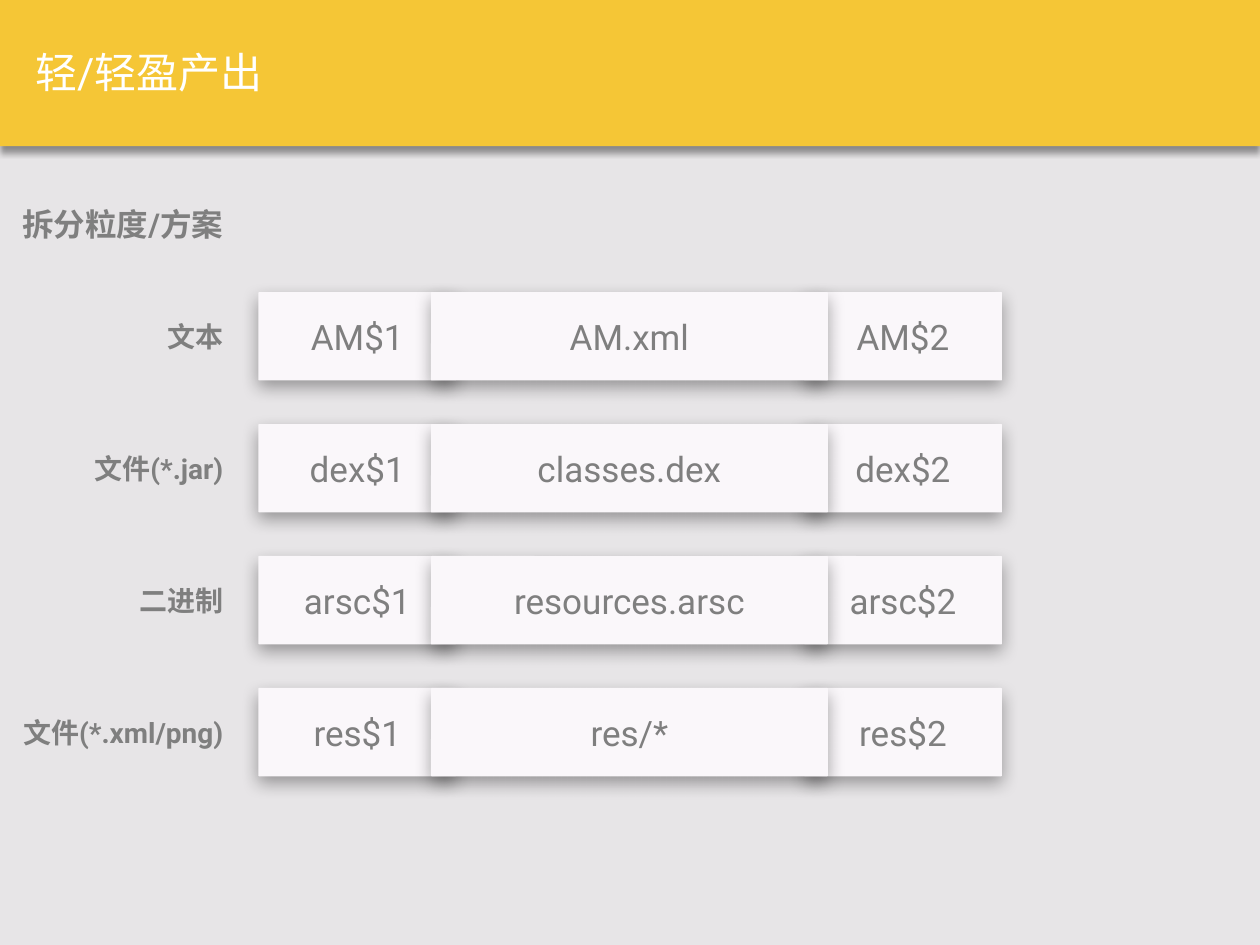
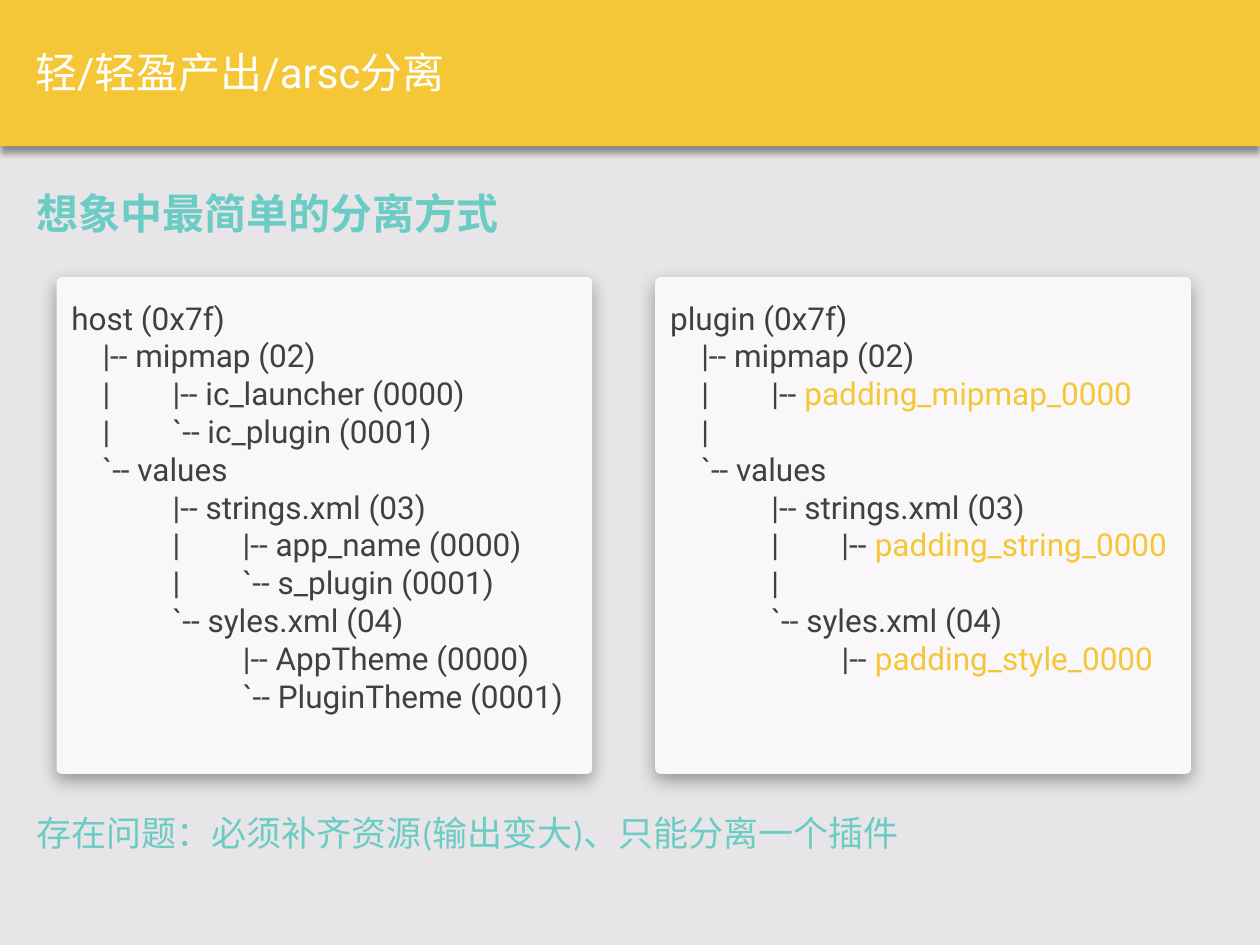
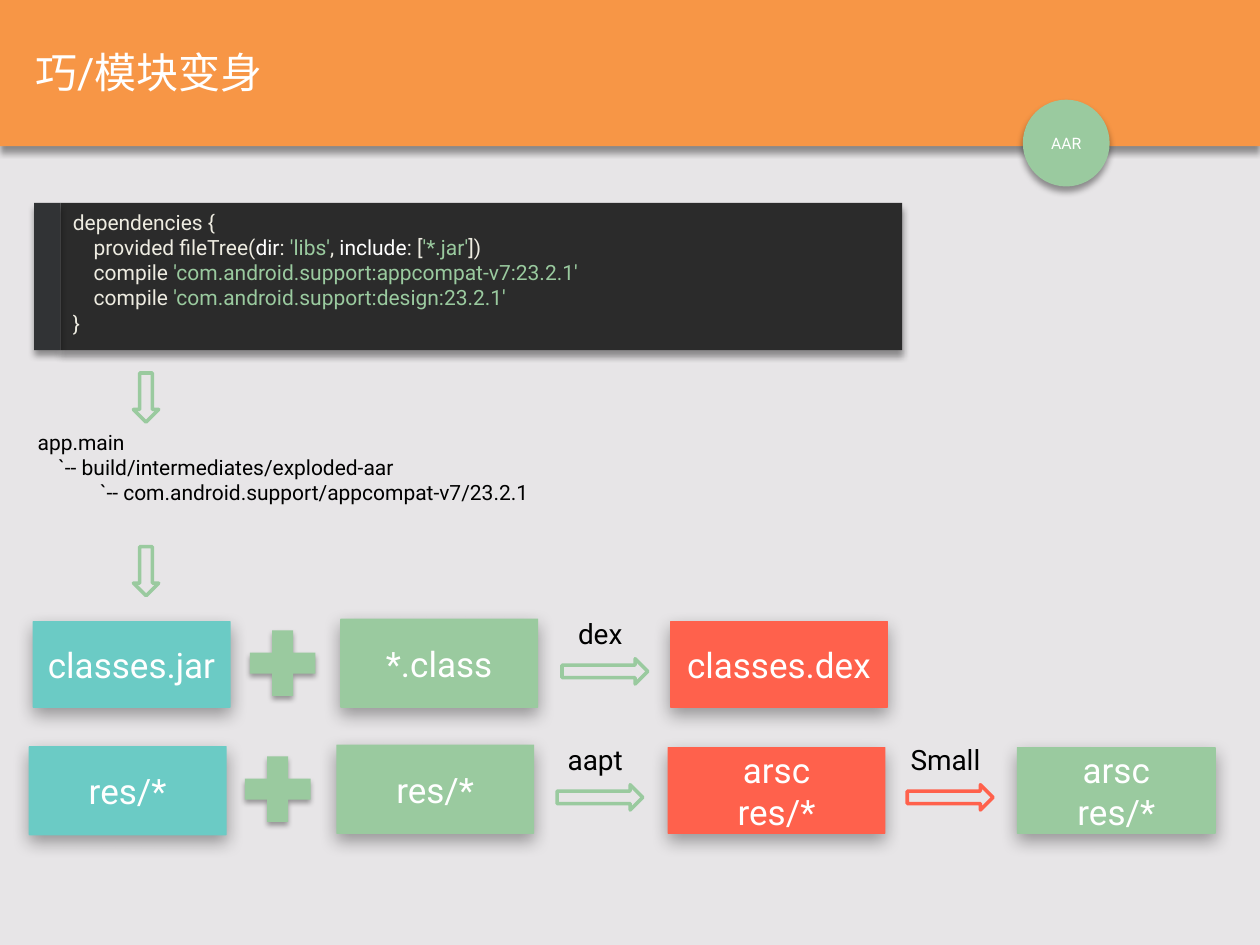
from dataclasses import dataclass

from lxml.etree import SubElement
from pptx import Presentation
from pptx.dml.color import RGBColor
from pptx.enum.shapes import MSO_SHAPE as Kind
from pptx.enum.text import MSO_ANCHOR as Anchor, PP_ALIGN as Align
from pptx.oxml.ns import qn
from pptx.util import Cm, Pt


@dataclass(frozen=True)
class Theme:
    back: str = "E7E5E7"
    card: str = "FAF7FA"
    white: str = "FFFFFF"
    black: str = "000000"
    gold: str = "F5C636"
    orange: str = "F79646"
    teal: str = "6BCBC5"
    green: str = "9ACA9F"
    red: str = "FF614C"
    gray: str = "7F7F7F"
    dark: str = "404040"
    editor: str = "2B2B2B"
    gutter: str = "313335"
    cream: str = "EEECE1"
    face: str = "Roboto"
    plain: str = "Calibri"
    title: int = 24
    box: int = 20
    body: int = 18
    label: int = 16
    code: int = 12
    badge: int = 9
    # Shadows: opacity in percent, blur and distance in points
    soft: tuple = (35, 10, 4)
    hard: tuple = (40, 4, 3)
    thin: tuple = (35, 3.1, 1.8)


T = Theme()


def rgb(ink):
    return RGBColor.from_string(ink)


def write(shape, lines, size, ink, align=Align.CENTER, anchor=Anchor.MIDDLE,
          face=T.face, bold=False, pad=(0, 0)):
    """Fill a shape with lines; a line is a string or a list of (text, ink) runs."""
    frame = shape.text_frame
    frame.word_wrap = True
    frame.vertical_anchor = anchor
    frame.margin_left = frame.margin_right = Cm(pad[0])
    frame.margin_top = frame.margin_bottom = Cm(pad[1])
    for i, line in enumerate(lines):
        para = frame.add_paragraph() if i else frame.paragraphs[0]
        para.alignment = align
        font = para.font
        font.name, font.size, font.bold = face, Pt(size), bold
        if isinstance(line, str):
            para.text = line
            font.color.rgb = rgb(ink)
            continue
        for text, tint in line:
            run = para.add_run()
            run.text = text
            run.font.color.rgb = rgb(tint)


def note(slide, area, lines, size, ink, **style):
    write(slide.shapes.add_textbox(*map(Cm, area)), lines, size, ink, **style)


def draw(slide, kind, area, fill=None, line=None, shadow=None):
    shape = slide.shapes.add_shape(kind, *map(Cm, area))
    shape.shadow.inherit = False
    if fill:
        shape.fill.solid()
        shape.fill.fore_color.rgb = rgb(fill)
    else:
        shape.fill.background()
    if line:
        shape.line.color.rgb = rgb(line)
        shape.line.width = Pt(2)
    else:
        shape.line.fill.background()
    if shadow:
        cast(shape, *shadow)
    return shape


def cast(shape, alpha, blur, dist):
    """Add a shadow that falls straight down."""
    effects = shape._element.spPr.find(qn("a:effectLst"))
    outer = SubElement(effects, qn("a:outerShdw"), blurRad=str(Pt(blur)),
                       dist=str(Pt(dist)), dir="5400000", algn="t", rotWithShape="0")
    color = SubElement(outer, qn("a:srgbClr"), val=T.black)
    SubElement(color, qn("a:alpha"), val=str(alpha * 1000))


def card(slide, area, fill=T.card):
    shape = draw(slide, Kind.ROUNDED_RECTANGLE, area, fill, shadow=T.soft)
    shape.adjustments[0] = 0.01
    return shape


def tile(slide, area, lines, fill=T.card, ink=T.white):
    write(card(slide, area, fill), lines, T.box, ink)


def step(slide, left, top, name, ink):
    """Draw a right arrow with its tool name above."""
    draw(slide, Kind.RIGHT_ARROW, (left, top, 1.73, 0.51), line=ink)
    note(slide, (left - 0.13, top - 0.98, 1.8, 0.97), [name], T.label, T.black,
         anchor=Anchor.TOP, pad=(0, 0.13))


def page(deck, text, fill):
    """Add a slide with a title on a coloured band."""
    slide = deck.slides.add_slide(deck.slide_layouts[5])
    band = draw(slide, Kind.RECTANGLE, (0, 0, 25.4, 2.95), fill, shadow=T.hard)
    title = slide.shapes.title
    band._element.addnext(title._element)
    title.left, title.top, title.width, title.height = map(Cm, (0.46, -0.05, 22, 3))
    write(title, [text], T.title, T.white, align=Align.LEFT, pad=(0.25, 0.13))
    return slide


def split(deck):
    slide = page(deck, "轻/轻盈产出", T.gold)
    rows = [
        ("文本", "AM$1", "AM$2", "AM.xml"),
        ("文件(*.jar)", "dex$1", "dex$2", "classes.dex"),
        ("二进制", "arsc$1", "arsc$2", "resources.arsc"),
        ("文件(*.xml/png)", "res$1", "res$2", "res/*"),
    ]
    spans = [(5.21, 3.99), (16.21, 3.99), (8.69, 8)]
    side = dict(align=Align.RIGHT, bold=True, pad=(0.25, 0.13))
    note(slide, (0.1, 3.63, 4.65, 1.78), ["拆分粒度/方案"], T.body, T.gray, **side)
    for i, (name, *parts) in enumerate(rows):
        top = 5.89 + 2.66 * i
        note(slide, (0.1, top, 4.65, 1.78), [name], T.label, T.gray, **side)
        for (left, width), part in zip(spans, parts):
            tile(slide, (left, top, width, 1.78), [part], ink=T.gray)


def trees(deck):
    slide = page(deck, "轻/轻盈产出/arsc分离", T.gold)
    host = [
        "host (0x7f)",
        "    |-- mipmap (02)",
        "    |        |-- ic_launcher (0000)",
        "    |        `-- ic_plugin (0001)",
        "    `-- values",
        "             |-- strings.xml (03)",
        "             |        |-- app_name (0000)",
        "             |        `-- s_plugin (0001)",
        "             `-- syles.xml (04)",
        "                      |-- AppTheme (0000)",
        "                      `-- PluginTheme (0001)",
    ]
    plugin = [
        "plugin (0x7f)",
        "    |-- mipmap (02)",
        [("    |        |-- ", T.dark), ("padding_mipmap_0000", T.gold)],
        "    |",
        "    `-- values",
        "             |-- strings.xml (03)",
        [("             |        |-- ", T.dark), ("padding_string_0000", T.gold)],
        "             |",
        "             `-- syles.xml (04)",
        [("                      |-- ", T.dark), ("padding_style_0000", T.gold)],
    ]
    left = dict(align=Align.LEFT, face=T.plain, pad=(0.25, 0.13))
    note(slide, (0.48, 3.02, 20, 2.54), ["想象中最简单的分离方式"],
         T.title, T.teal, bold=True, **left)
    for x, tree in ((1.14, host), (13.21, plugin)):
        write(card(slide, (x, 5.59, 10.8, 10.01)), tree, T.body, T.dark,
              align=Align.LEFT, anchor=Anchor.TOP, pad=(0.27, 0.4))
    note(slide, (0.48, 15.52, 22, 2.54),
         ["存在问题：必须补齐资源(输出变大)、只能分离一个插件"], T.box, T.teal, **left)


def build(deck):
    slide = page(deck, "巧/模块变身", T.orange)
    code = [
        "dependencies {",
        [("    provided fileTree(", T.cream), ("dir", T.white), (": ", T.cream),
         ("'libs'", T.green), (", ", T.cream), ("include", T.white),
         (": [", T.cream), ("'*.jar'", T.green), ("])", T.cream)],
        [("    compile ", T.cream),
         ("'com.android.support:appcompat-v7:23.2.1'", T.green)],
        [("    compile ", T.cream),
         ("'com.android.support:design:23.2.1'", T.green)],
        "}",
    ]
    folders = [
        "app.main",
        "    `-- build/intermediates/exploded-aar",
        "            `-- com.android.support/appcompat-v7/23.2.1",
    ]
    listing = dict(align=Align.LEFT, anchor=Anchor.TOP, pad=(0.25, 0.13))
    editor = draw(slide, Kind.RECTANGLE, (1.22, 4.09, 16.97, 2.97), T.editor,
                  shadow=T.hard)
    write(editor, code, T.code, T.cream, **listing)
    draw(slide, Kind.RECTANGLE, (0.69, 4.09, 0.53, 2.97), T.gutter, shadow=T.hard)
    note(slide, (0.51, 8.53, 12, 2.01), folders, T.code, T.black, **listing)
    for top in (7.52, 11.02):
        draw(slide, Kind.DOWN_ARROW, (2.69, top, 0.51, 0.99), line=T.green)

    tiles = [
        ((0.66, 12.52, 3.99, 1.75), ["classes.jar"], T.teal),
        ((6.86, 12.47, 3.99, 1.8), ["*.class"], T.green),
        ((13.51, 12.52, 4.39, 1.75), ["classes.dex"], T.red),
        ((0.58, 15.04, 3.99, 1.8), ["res/*"], T.teal),
        ((6.78, 15.01, 3.99, 1.8), ["res/*"], T.green),
        ((13.46, 15.06, 4.39, 1.75), ["arsc", "res/*"], T.red),
        ((20.5, 15.06, 4.01, 1.75), ["arsc", "res/*"], T.green),
    ]
    for area, lines, fill in tiles:
        tile(slide, area, lines, fill)
    for left, top in ((4.8, 12.47), (4.7, 15.01)):
        draw(slide, Kind.MATH_PLUS, (left, top, 1.8, 1.8), T.green, shadow=T.thin)
    step(slide, 11.33, 13.28, "dex", T.green)
    step(slide, 11.23, 15.82, "aapt", T.green)
    step(slide, 18.29, 15.82, "Small", T.red)

    badge = draw(slide, Kind.OVAL, (20.62, 2.01, 1.75, 1.75), T.green, shadow=T.hard)
    write(badge, ["AAR"], T.badge, T.white)


def main():
    deck = Presentation()
    deck.slide_width, deck.slide_height = Cm(25.4), Cm(19.05)
    back = deck.slide_master.background.fill
    back.solid()
    back.fore_color.rgb = rgb(T.back)
    split(deck)
    trees(deck)
    build(deck)
    deck.save("out.pptx")


if __name__ == "__main__":
    main()
